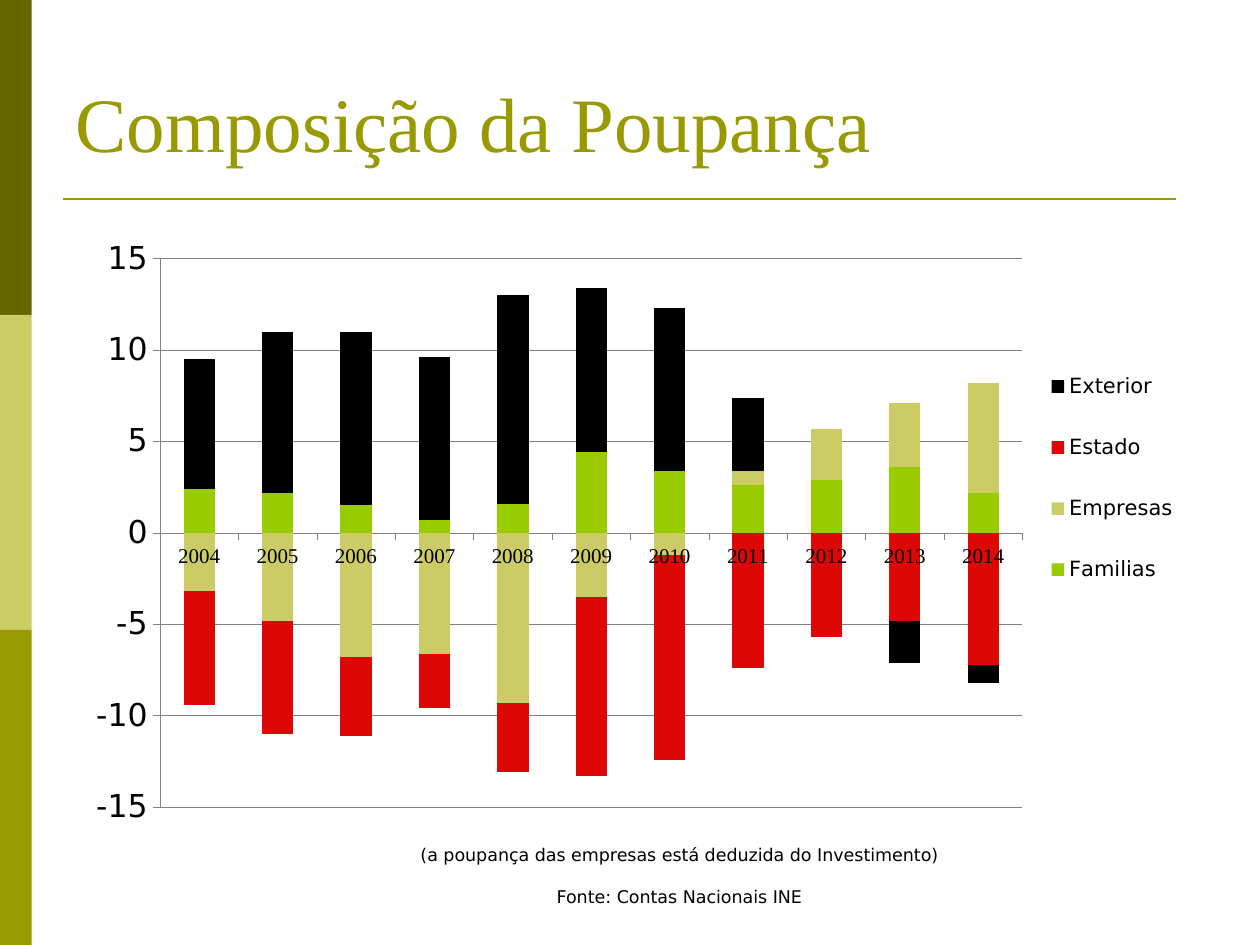
from dataclasses import dataclass

from lxml import etree
from pptx import Presentation
from pptx.chart.data import CategoryChartData
from pptx.dml.color import RGBColor
from pptx.enum.chart import XL_CHART_TYPE, XL_LEGEND_POSITION, XL_TICK_LABEL_POSITION, XL_TICK_MARK
from pptx.enum.shapes import MSO_CONNECTOR, MSO_SHAPE
from pptx.enum.text import MSO_ANCHOR, MSO_AUTO_SIZE, PP_ALIGN
from pptx.oxml.ns import qn
from pptx.util import Cm, Pt

STACKED = XL_CHART_TYPE.COLUMN_STACKED
LEGEND_RIGHT = XL_LEGEND_POSITION.RIGHT
NEXT_TO_AXIS = XL_TICK_LABEL_POSITION.NEXT_TO_AXIS
TICK_OUTSIDE, TICK_NONE = XL_TICK_MARK.OUTSIDE, XL_TICK_MARK.NONE
STRAIGHT, RECTANGLE = MSO_CONNECTOR.STRAIGHT, MSO_SHAPE.RECTANGLE
BOTTOM, TOP = MSO_ANCHOR.BOTTOM, MSO_ANCHOR.TOP
NO_AUTOFIT = MSO_AUTO_SIZE.NONE
LEFT, CENTER = PP_ALIGN.LEFT, PP_ALIGN.CENTER

SERIF, SANS = "Times New Roman", "DejaVu Sans"
COLORS = {
    "dark olive": "666600",
    "sand": "CCCC66",
    "olive": "999900",
    "green": "99CC00",
    "red": "DD0806",
    "black": "000000",
    "gray": "808080",
}
BAND_COLORS = ("dark olive", "sand", "olive")
BAND_WIDTH, BAND_HEIGHT = 0.64, 6.35


@dataclass
class Savings:
    name: str
    color: str
    values: tuple


YEARS = [str(year) for year in range(2004, 2015)]
SECTORS = (
    Savings("Familias", "green", (2.4, 2.2, 1.5, 0.7, 1.6, 4.4, 3.4, 2.6, 2.9, 3.6, 2.2)),
    Savings("Empresas", "sand", (-3.2, -4.8, -6.8, -6.6, -9.3, -3.5, -1.2, 0.8, 2.8, 3.5, 6)),
    Savings("Estado", "red", (-6.2, -6.2, -4.3, -3, -3.8, -9.8, -11.2, -7.4, -5.7, -4.8, -7.2)),
    Savings("Exterior", "black", (7.1, 8.8, 9.5, 8.9, 11.4, 9, 8.9, 4, 0, -2.3, -1)),
)
NOTES = (
    "(a poupança das empresas está deduzida do Investimento)",
    "Fonte: Contas Nacionais INE",
)


def rgb(color: str) -> RGBColor:
    return RGBColor.from_string(COLORS[color])


def style_font(font, name: str, size: float, color: str) -> None:
    font.name = name
    font.size = Pt(size)
    font.bold = False
    font.color.rgb = rgb(color)


def style_line(line, color: str, width: float) -> None:
    line.color.rgb = rgb(color)
    line.width = Pt(width)


def add_run(paragraph, text: str, name: str, size: float, color: str) -> None:
    run = paragraph.add_run()
    run.text = text
    style_font(run.font, name, size, color)


def add_band(slide, index: int, color: str) -> None:
    shape = slide.shapes.add_shape(
        RECTANGLE, Cm(0), Cm(index * BAND_HEIGHT), Cm(BAND_WIDTH), Cm(BAND_HEIGHT)
    )
    shape.shadow.inherit = False
    shape.fill.solid()
    shape.fill.fore_color.rgb = rgb(color)
    shape.line.fill.background()


def add_rule(slide) -> None:
    connector = slide.shapes.add_connector(STRAIGHT, Cm(1.27), Cm(4.01), Cm(23.7), Cm(4.01))
    style_line(connector.line, "olive", 1.5)
    etree.SubElement(connector._element.spPr, qn("a:effectLst"))


def set_title(slide, text: str) -> None:
    title = slide.shapes.title
    title.left, title.top, title.width, title.height = Cm(1.27), Cm(0.33), Cm(22.86), Cm(3.18)
    frame = title.text_frame
    frame.auto_size = NO_AUTOFIT
    frame.vertical_anchor = BOTTOM
    frame.paragraphs[0].alignment = LEFT
    add_run(frame.paragraphs[0], text, SERIF, 44, "olive")


def make_layout(x: float, y: float, width: float, height: float, inner: bool):
    layout = etree.Element(qn("c:layout"))
    manual = etree.SubElement(layout, qn("c:manualLayout"))
    settings = [("layoutTarget", "inner")] if inner else []
    settings += [("xMode", "edge"), ("yMode", "edge")]
    settings += [("x", x), ("y", y), ("w", width), ("h", height)]
    for tag, value in settings:
        etree.SubElement(manual, qn(f"c:{tag}")).set("val", str(value))
    return layout


def style_axis(axis, font_name: str, size: float) -> None:
    axis.major_tick_mark = TICK_OUTSIDE
    axis.minor_tick_mark = TICK_NONE
    axis.tick_label_position = NEXT_TO_AXIS
    style_font(axis.tick_labels.font, font_name, size, "black")
    style_line(axis.format.line, "gray", 0.25)


def add_savings_chart(slide) -> None:
    data = CategoryChartData(number_format="0.0")
    data.categories = YEARS
    for sector in SECTORS:
        data.add_series(sector.name, sector.values)
    chart = slide.shapes.add_chart(
        STACKED, Cm(1.42), Cm(4.6), Cm(22.58), Cm(12.29), data
    ).chart
    style_font(chart.font, SANS, 18, "black")
    chart.has_title = False

    plot = chart.plots[0]
    plot.gap_width, plot.overlap = 150, 100
    plot.vary_by_categories = False
    for series, sector in zip(plot.series, SECTORS):
        series.invert_if_negative = False
        series.format.fill.solid()
        series.format.fill.fore_color.rgb = rgb(sector.color)

    style_axis(chart.category_axis, SERIF, 12)
    values = chart.value_axis
    style_axis(values, SANS, 18)
    values.minimum_scale, values.maximum_scale, values.major_unit = -15, 15, 5
    values.tick_labels.number_format = "0"
    values.tick_labels.number_format_is_linked = False
    values.has_major_gridlines = True
    style_line(values.major_gridlines.format.line, "gray", 0.25)

    chart.has_legend = True
    legend = chart.legend
    legend.position = LEGEND_RIGHT
    legend.include_in_layout = False
    style_font(legend.font, SANS, 12, "black")

    plot_area = chart._chartSpace.chart.plotArea
    for layout in plot_area.findall(qn("c:layout")):
        plot_area.remove(layout)
    plot_area.insert(0, make_layout(0.08, 0.05, 0.77, 0.9, True))
    legend_element = legend._element
    for layout in legend_element.findall(qn("c:layout")):
        legend_element.remove(layout)
    legend_element.find(qn("c:legendPos")).addnext(make_layout(0.87, 0.18, 0.12, 0.46, False))


def add_notes_box(slide) -> None:
    frame = slide.shapes.add_textbox(Cm(7.7), Cm(16.89), Cm(11.99), Cm(1.73)).text_frame
    frame.word_wrap = True
    frame.vertical_anchor = TOP
    for index, text in enumerate(NOTES):
        paragraph = frame.add_paragraph() if index else frame.paragraphs[0]
        paragraph.alignment = CENTER
        paragraph.space_before = Pt(12 * index)
        add_run(paragraph, text, SANS, 10, "black")


def main() -> None:
    presentation = Presentation()
    presentation.slide_width, presentation.slide_height = Cm(25.4), Cm(19.05)
    slide = presentation.slides.add_slide(presentation.slide_layouts[5])
    for index, color in enumerate(BAND_COLORS):
        add_band(slide, index, color)
    add_rule(slide)
    set_title(slide, "Composição da Poupança")
    add_savings_chart(slide)
    add_notes_box(slide)
    presentation.save("out.pptx")


if __name__ == "__main__":
    main()
